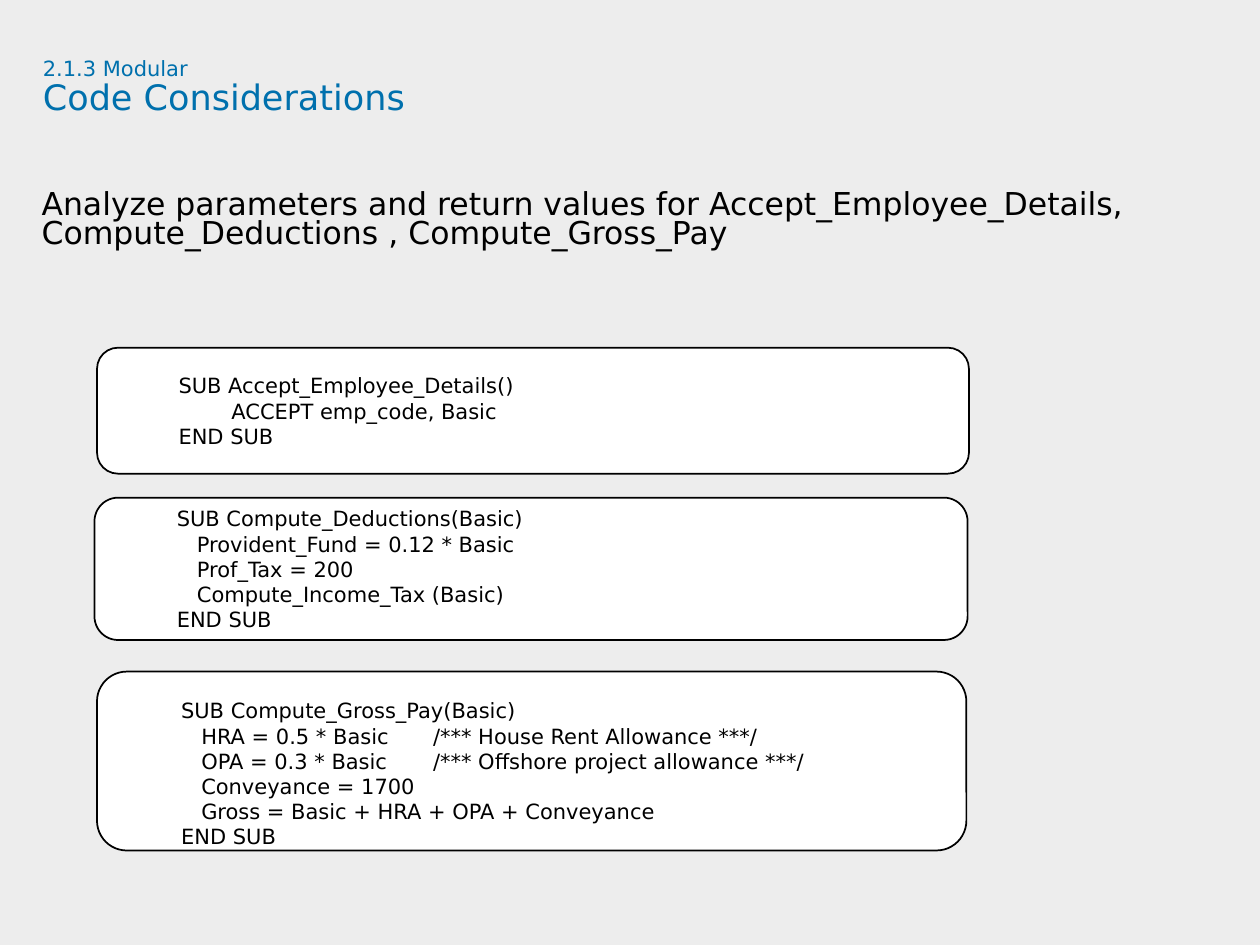
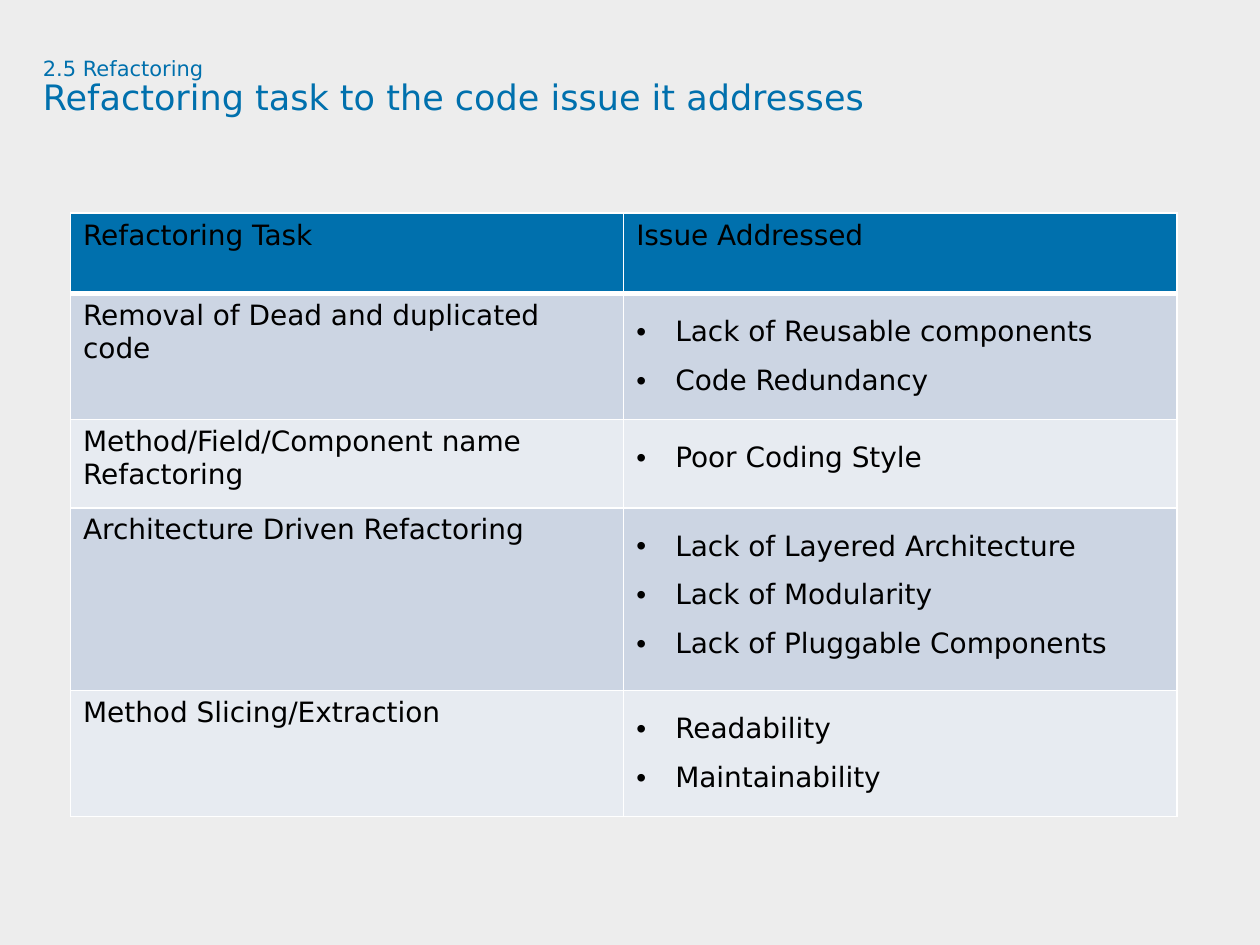
from dataclasses import dataclass

from lxml.etree import SubElement as Sub
from pptx import Presentation
from pptx.dml.color import RGBColor as Rgb
from pptx.enum.shapes import MSO_SHAPE as Geo
from pptx.enum.text import MSO_ANCHOR as Anchor, PP_ALIGN as Align
from pptx.oxml.ns import qn
from pptx.util import Inches, Pt

FONT = "DejaVu Sans"
HUES = {
    "page": "EDEDED",
    "blue": "0070AD",
    "ink": "000000",
    "white": "FFFFFF",
    "dark": "CCD5E3",
    "light": "E7EBF1",
}
STEP = 0.16  # indent of code inside a SUB


@dataclass
class Line:
    text: str
    inset: float = 0


@dataclass
class Box:
    left: float
    top: float
    width: float
    height: float
    lines: list[Line]
    above: float = 0.05
    below: float = 0.05


@dataclass
class Row:
    task: str
    issues: list[str]
    height: float


BOXES = [
    Box(0.77, 2.76, 6.92, 1, [
        Line("SUB Accept_Employee_Details()"),
        Line("ACCEPT emp_code, Basic", 0.42),
        Line("END SUB"),
    ]),
    Box(0.77, 5.33, 6.9, 1.42, [
        Line("SUB Compute_Gross_Pay(Basic)"),
        Line("HRA = 0.5 * Basic\t/*** House Rent Allowance ***/", STEP),
        Line("OPA = 0.3 * Basic\t/*** Offshore project allowance ***/", STEP),
        Line("Conveyance = 1700", STEP),
        Line("Gross = Basic + HRA + OPA + Conveyance", STEP),
        Line("END SUB"),
    ], above=0.2, below=0),
    Box(0.75, 3.95, 6.93, 1.13, [
        Line("SUB Compute_Deductions(Basic)"),
        Line("Provident_Fund = 0.12 * Basic", STEP),
        Line("Prof_Tax = 200", STEP),
        Line("Compute_Income_Tax (Basic)", STEP),
        Line("END SUB"),
    ]),
]

ROWS = [
    Row("Removal of Dead and duplicated code",
        ["Lack of Reusable components", "Code Redundancy"], 1),
    Row("Method/Field/Component name Refactoring", ["Poor Coding Style"], 0.7),
    Row("Architecture Driven Refactoring",
        ["Lack of Layered Architecture", "Lack of Modularity",
         "Lack of Pluggable Components"], 1.45),
    Row("Method Slicing/Extraction", ["Readability", "Maintainability"], 1),
]


# Shared helpers
def hue(name: str) -> Rgb:
    return Rgb.from_string(HUES[name])


def style(para, size: float, name: str = "ink") -> None:
    para.font.name = FONT
    para.font.size = Pt(size)
    para.font.color.rgb = hue(name)


def indent(para, left: float, first: float) -> None:
    props = para._p.get_or_add_pPr()
    props.set("marL", str(Inches(left)))
    props.set("indent", str(Inches(first)))


def add_text(slide, left: float, top: float, width: float, height: float):
    frame = slide.shapes.add_textbox(
        Inches(left), Inches(top), Inches(width), Inches(height)).text_frame
    frame.word_wrap = True
    frame.margin_left = frame.margin_right = 0
    frame.margin_top = frame.margin_bottom = 0
    return frame.paragraphs[0]


def add_page(deck, topic: str, title: str):
    slide = deck.slides.add_slide(deck.slide_layouts[6])
    para = add_text(slide, 0.34, 0.46, 9.09, 0.94)
    para.line_spacing = 0.9
    style(para, 12, "blue")
    para.add_run().text = topic
    para.add_line_break()
    run = para.add_run()
    run.text = title
    run.font.size = Pt(20)
    return slide


# Code boxes
def add_box(slide, box: Box) -> None:
    shape = slide.shapes.add_shape(
        Geo.ROUNDED_RECTANGLE, Inches(box.left), Inches(box.top),
        Inches(box.width), Inches(box.height))
    shape.shadow.inherit = False
    shape.fill.solid()
    shape.fill.fore_color.rgb = hue("white")
    shape.line.color.rgb = hue("ink")
    shape.line.width = Pt(1)
    frame = shape.text_frame
    frame.word_wrap = True
    frame.vertical_anchor = Anchor.MIDDLE
    frame.margin_top = Inches(box.above)
    frame.margin_bottom = Inches(box.below)
    for i, line in enumerate(box.lines):
        para = frame.add_paragraph() if i else frame.paragraphs[0]
        para.text = line.text
        para.alignment = Align.LEFT
        indent(para, 0.5, line.inset)
        style(para, 12)


# Table cells
def add_edges(cell, base: float) -> None:
    props = cell._tc.get_or_add_tcPr()
    for side in "LRTB":
        width = Pt(base if side == "B" else 1)
        edge = Sub(props, qn(f"a:ln{side}"), w=str(width))
        fill = Sub(edge, qn("a:solidFill"))
        Sub(fill, qn("a:srgbClr"), val=HUES["white"])


def fill_cell(cell, texts: list[str], back: str, base: float = 1,
              dots: bool = False) -> None:
    add_edges(cell, base)
    cell.fill.solid()
    cell.fill.fore_color.rgb = hue(back)
    frame = cell.text_frame
    for i, text in enumerate(texts):
        para = frame.add_paragraph() if i else frame.paragraphs[0]
        para.text = text
        if dots:
            indent(para, 0.31, -0.31)
            para.line_spacing = 1.5
            props = para._p.get_or_add_pPr()
            Sub(props, qn("a:buFont"), typeface="Arial")
            Sub(props, qn("a:buChar"), char="•")
        style(para, 16)


def add_grid(slide, heads: list[str], rows: list[Row]) -> None:
    highs = [0.64] + [row.height for row in rows]
    grid = slide.shapes.add_table(
        len(highs), len(heads), Inches(0.56), Inches(1.69),
        Inches(8.78), Inches(sum(highs))).table
    grid.first_row = grid.horz_banding = False
    for band, high in zip(grid.rows, highs):
        band.height = Inches(high)
    for col, head in enumerate(heads):
        fill_cell(grid.cell(0, col), [head], "blue", base=3)
    for i, row in enumerate(rows, 1):
        back = "dark" if i % 2 else "light"
        fill_cell(grid.cell(i, 0), [row.task], back)
        fill_cell(grid.cell(i, 1), row.issues, back, dots=True)


def main() -> None:
    deck = Presentation()
    deck.slide_width, deck.slide_height = Inches(10), Inches(7.5)
    back = deck.slide_master.background.fill
    back.solid()
    back.fore_color.rgb = hue("page")

    # Modular code
    slide = add_page(deck, "2.1.3 Modular", "Code Considerations")
    para = add_text(slide, 0.33, 1.53, 9.67, 5.08)
    para.text = ("Analyze parameters and return values for "
                 "Accept_Employee_Details, Compute_Deductions , "
                 "Compute_Gross_Pay")
    para.line_spacing = Pt(16.5)
    para.space_after = Pt(4.5)
    style(para, 18)
    for box in BOXES:
        add_box(slide, box)

    # Refactoring
    slide = add_page(deck, "2.5 Refactoring",
                     "Refactoring task to the code issue it addresses")
    add_grid(slide, ["Refactoring Task", "Issue Addressed"], ROWS)

    deck.save("out.pptx")


if __name__ == "__main__":
    main()
